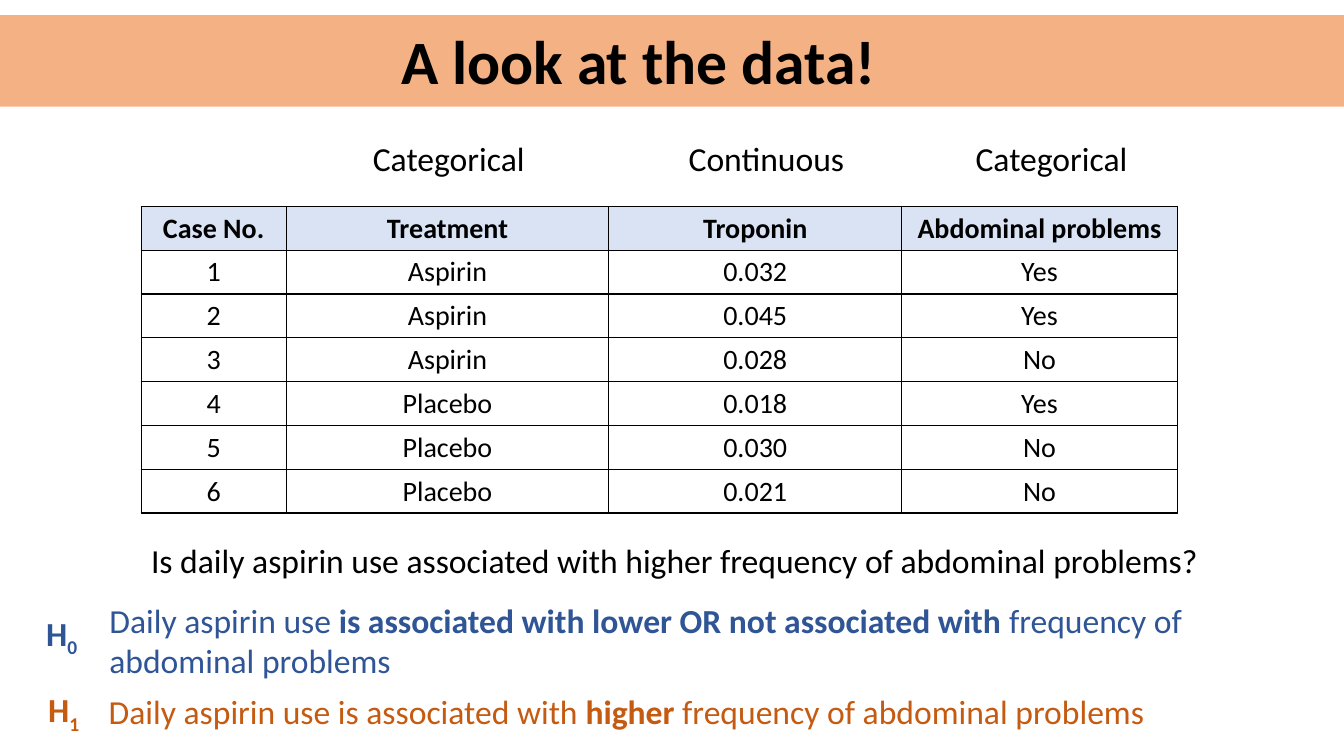
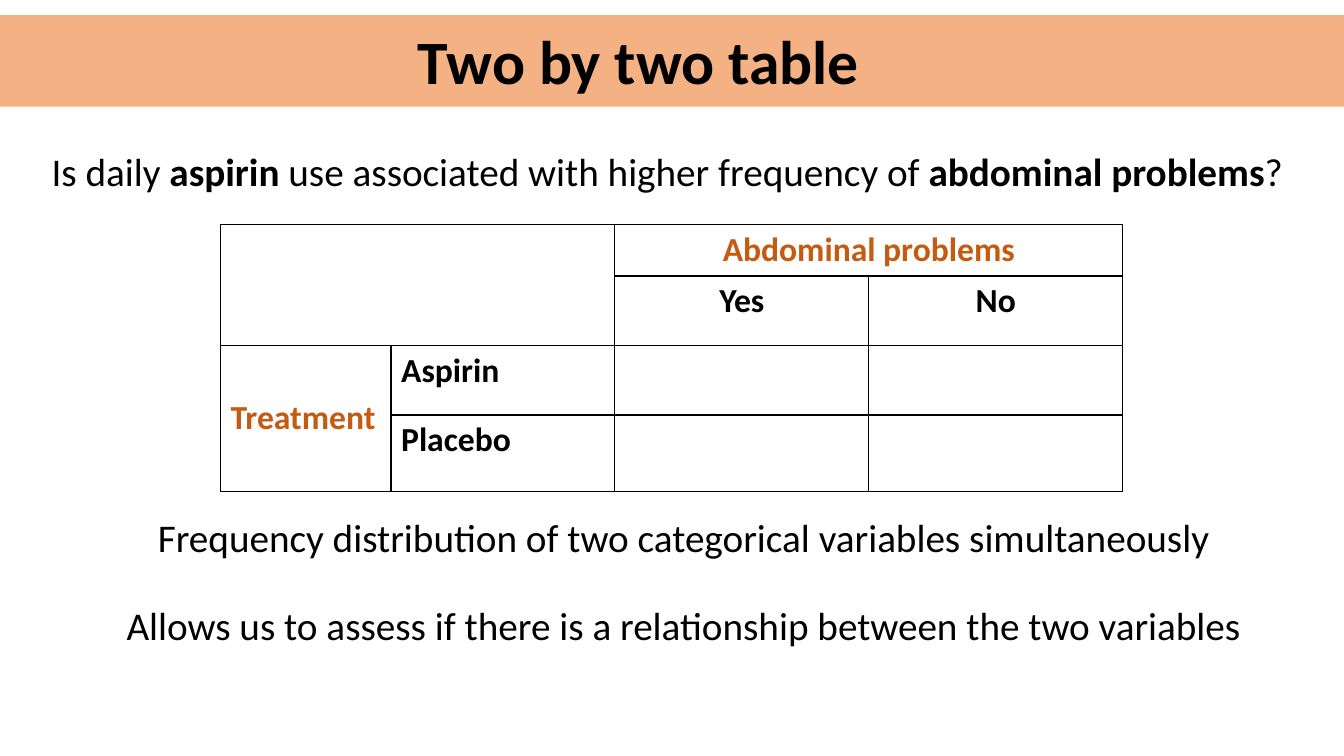
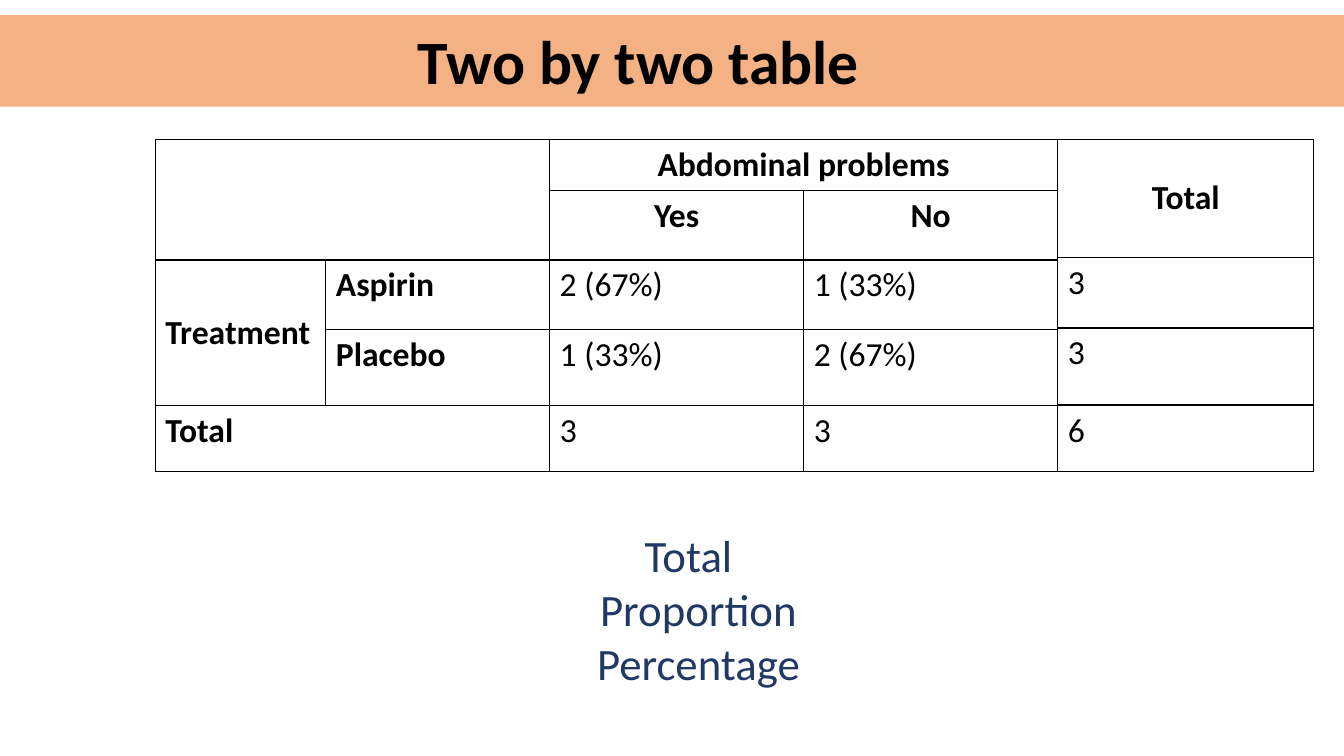
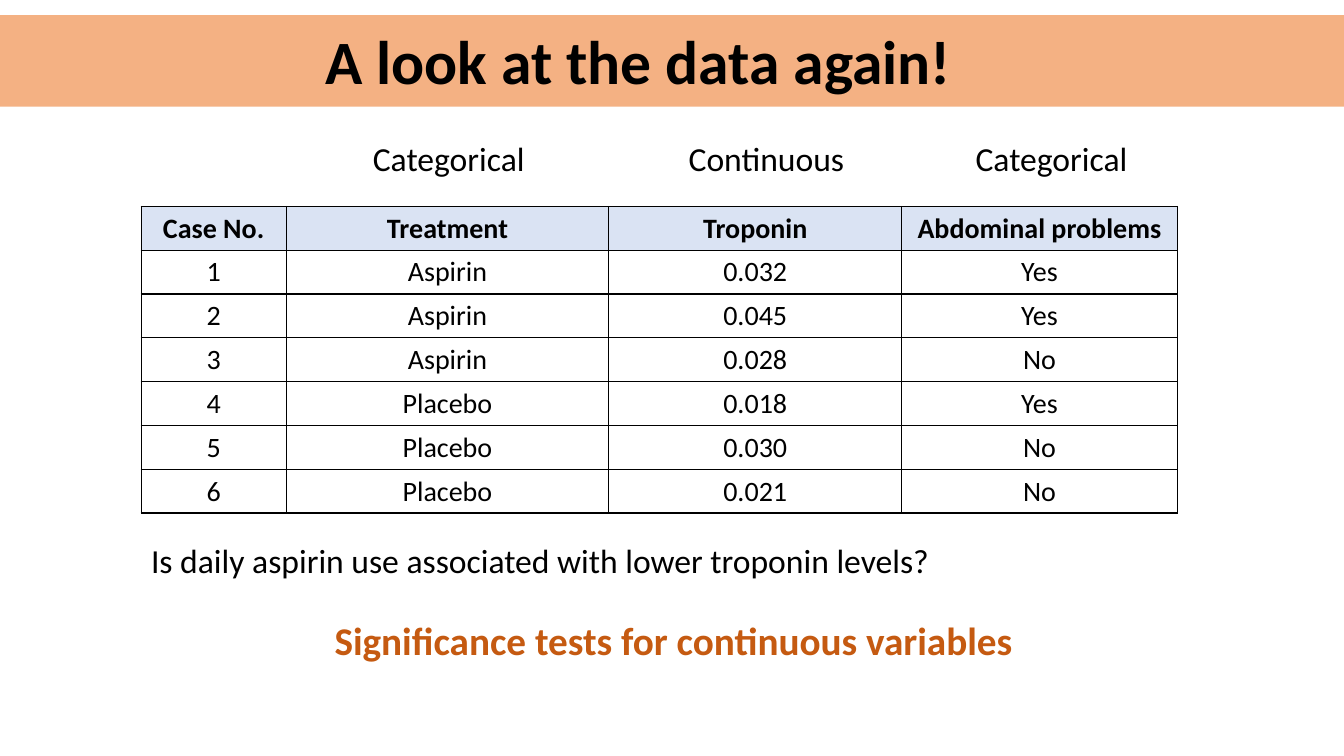
import lxml.etree
import pptx
import pptx.dml.color
import pptx.enum.shapes
import pptx.enum.text
import pptx.oxml.ns
import pptx.util

BLACK = pptx.dml.color.RGBColor(0x00, 0x00, 0x00)
WHITE = pptx.dml.color.RGBColor(0xFF, 0xFF, 0xFF)
PEACH = pptx.dml.color.RGBColor(0xF4, 0xB1, 0x83)
PALE_BLUE = pptx.dml.color.RGBColor(0xDA, 0xE3, 0xF3)
BLUE = pptx.dml.color.RGBColor(0x2F, 0x55, 0x97)
NAVY = pptx.dml.color.RGBColor(0x20, 0x38, 0x64)
ORANGE = pptx.dml.color.RGBColor(0xC5, 0x5A, 0x11)
FONT = "Calibri"
LEFT = pptx.enum.text.PP_ALIGN.LEFT
CENTER = pptx.enum.text.PP_ALIGN.CENTER
MIDDLE = pptx.enum.text.MSO_ANCHOR.MIDDLE

presentation = pptx.Presentation()
presentation.slide_width = pptx.util.Inches(13.33)
presentation.slide_height = pptx.util.Inches(7.5)
# All lengths are counted in hundredths of the slide's width and height.
COLUMN = presentation.slide_width / 100
ROW = presentation.slide_height / 100


def write(text_frame, text, size, color=BLACK, alignment=LEFT):
    """Fill a frame, one paragraph a line; parts between asterisks are bold."""
    for number, line in enumerate(text.split("\n")):
        paragraph = text_frame.add_paragraph() if number else text_frame.paragraphs[0]
        paragraph.alignment = alignment
        for part_number, part in enumerate(line.split("*")):
            if part:
                run = paragraph.add_run()
                run.text = part
                run.font.name = FONT
                run.font.size = pptx.util.Pt(size)
                run.font.bold = part_number % 2 == 1
                run.font.color.rgb = color


def add_table(slide, left, top, widths, heights, rows, size, centered_rows=0):
    """Add a table with thin black borders and its first rows centred."""
    table = slide.shapes.add_table(
        len(rows), len(widths), int(left * COLUMN), int(top * ROW),
        int(sum(widths) * COLUMN), int(sum(heights) * ROW)).table
    table.first_row = table.horz_banding = False
    for column, width in zip(table.columns, widths):
        column.width = int(width * COLUMN)
    for row_number, (row, height) in enumerate(zip(table.rows, heights)):
        row.height = int(height * ROW)
        alignment = CENTER if row_number < centered_rows else LEFT
        for cell, text in zip(row.cells, rows[row_number]):
            write(cell.text_frame, text, size, BLACK, alignment)
            cell.fill.background()
            properties = cell._tc.get_or_add_tcPr()
            for position, side in enumerate(("a:lnL", "a:lnR", "a:lnT", "a:lnB")):
                border = lxml.etree.Element(pptx.oxml.ns.qn(side), w=str(pptx.util.Pt(1)))
                fill = lxml.etree.SubElement(border, pptx.oxml.ns.qn("a:solidFill"))
                lxml.etree.SubElement(fill, pptx.oxml.ns.qn("a:srgbClr"), val=str(BLACK))
                properties.insert(position, border)
    return table


# Slides with their titles, over a band that the layout holds
layout = presentation.slide_layouts[6]
titles = ["A look at the data!", "Two by two table", "Two by two table", "A look at the data again!"]
slides = [presentation.slides.add_slide(layout) for title in titles]
data_slide, empty_slide, counts_slide, again_slide = slides

band = data_slide.shapes.add_shape(
    pptx.enum.shapes.MSO_SHAPE.RECTANGLE,
    int(-2 * COLUMN), int(2 * ROW), int(104.3 * COLUMN), int(12.1 * ROW))
band.shadow.inherit = False
band.fill.solid()
band.fill.fore_color.rgb = PEACH
band.line.fill.background()
layout.shapes._spTree.append(band._element)

for slide, title in zip(slides, titles):
    title_box = slide.shapes.add_textbox(
        int(19.4 * COLUMN), int(2.8 * ROW), int(56.25 * COLUMN), int(11.5 * ROW))
    title_box.text_frame.word_wrap = True
    title_box.text_frame.vertical_anchor = MIDDLE
    write(title_box.text_frame, f"*{title}*", 44, BLACK, CENTER)
    title_box.text_frame.paragraphs[0].line_spacing = 0.9

# Case data
cases = [
    ("*Case No.*", "*Treatment*", "*Troponin*", "*Abdominal problems*"),
    ("1", "Aspirin", "0.032", "Yes"),
    ("2", "Aspirin", "0.045", "Yes"),
    ("3", "Aspirin", "0.028", "No"),
    ("4", "Placebo", "0.018", "Yes"),
    ("5", "Placebo", "0.030", "No"),
    ("6", "Placebo", "0.021", "No"),
]
for slide in (data_slide, again_slide):
    case_table = add_table(slide, 10.5, 27.3, (10.8, 24, 21.8, 20.5),
                           [5.8] * len(cases), cases, 20, len(cases))
    for cell in case_table.rows[0].cells:
        cell.fill.solid()
        cell.fill.fore_color.rgb = PALE_BLUE

# Two by two tables
two_by_two = [
    (empty_slide, 16.4, 29.7, ORANGE, ("", ""), ("", "")),
    (counts_slide, 11.55, 18.4, BLACK, ("2 (67%)", "1 (33%)"), ("1 (33%)", "2 (67%)")),
]
for slide, left, top, label_color, aspirin, placebo in two_by_two:
    rows = [
        ("", "", "*Abdominal problems*", ""),
        ("", "", "*Yes*", "*No*"),
        ("*Treatment*", "*Aspirin*", *aspirin),
        ("", "*Placebo*", *placebo),
    ]
    table = add_table(slide, left, top, (12.7, 16.65, 18.9, 18.9),
                      (6.8, 9.2, 9.2, 10.1), rows, 24, 2)
    table.cell(0, 0).merge(table.cell(1, 1))
    table.cell(0, 2).merge(table.cell(0, 3))
    table.cell(2, 0).merge(table.cell(3, 0))
    table.cell(2, 0).vertical_anchor = MIDDLE
    for cell in (table.cell(0, 2), table.cell(2, 0)):
        cell.text_frame.paragraphs[0].runs[0].font.color.rgb = label_color

row_totals = add_table(counts_slide, 78.7, 18.4, [19.05], (15.7, 9.3, 10.1),
                       [["*Total*"], ["3"], ["3"]], 24, 1)
row_totals.cell(0, 0).vertical_anchor = MIDDLE
column_totals = add_table(counts_slide, 11.55, 53.6, (29.35, 18.9, 18.9, 19.05), [8.8],
                          [("*Total*", "3", "3", "6")], 24)
for cell in column_totals.rows[0].cells:
    cell.fill.solid()
    cell.fill.fore_color.rgb = WHITE

# Text: slide, left, top, width, height, words, size, colour, alignment
texts = [
    (data_slide, 10.5, 70.8, 81.2, 6.7,
     "Is daily aspirin use associated with higher frequency of abdominal problems?",
     24, BLACK, LEFT),
    (data_slide, 7.4, 78.7, 86.2, 12.1,
     "Daily aspirin use *is associated with lower OR not associated with *"
     "frequency of abdominal problems", 24, BLUE, LEFT),
    (data_slide, 7.35, 90.7, 86.2, 6.7,
     "Daily aspirin use is associated with *higher *frequency of abdominal problems",
     24, ORANGE, LEFT),
    (data_slide, 2.7, 80.4, 7.1, 6.7, "*H**0*", 24, BLUE, LEFT),
    (data_slide, 2.85, 90.5, 7.1, 6.7, "*H**1*", 24, ORANGE, LEFT),
    (empty_slide, 3.1, 18.8, 95.9, 7.6,
     "Is daily *aspirin* use associated with higher frequency of *abdominal problems*?",
     28, BLACK, LEFT),
    (empty_slide, 6.45, 67.3, 88.8, 19.3,
     "Frequency distribution of two categorical variables simultaneously\n"
     "Allows us to assess if there is a relationship between the two variables",
     28, BLACK, CENTER),
    (counts_slide, 30.1, 69.2, 43, 22.9, "Total \n Proportion\n Percentage", 32, NAVY, CENTER),
    (again_slide, 10.5, 70.8, 81.2, 6.7,
     "Is daily aspirin use associated with lower troponin levels?", 24, BLACK, LEFT),
    (again_slide, 24.15, 80.9, 52.6, 7.6,
     "*Significance tests for continuous variables*", 28, ORANGE, LEFT),
]
for slide in (data_slide, again_slide):
    for left, kind in ((27, "Categorical"), (50.5, "Continuous"), (71.85, "Categorical")):
        texts.append((slide, left, 17.6, 18.5, 6.7, kind, 24, BLACK, LEFT))

for slide, left, top, width, height, words, size, color, alignment in texts:
    text_box = slide.shapes.add_textbox(
        int(left * COLUMN), int(top * ROW), int(width * COLUMN), int(height * ROW))
    text_box.text_frame.word_wrap = True
    write(text_box.text_frame, words, size, color, alignment)
    first_paragraph = text_box.text_frame.paragraphs[0]
    if words.startswith("*H*"):
        first_paragraph.runs[1]._r.get_or_add_rPr().set("baseline", "-25000")
    if slide is empty_slide and alignment == CENTER:
        first_paragraph.space_after = pptx.util.Pt(29)

presentation.save("out.pptx")
